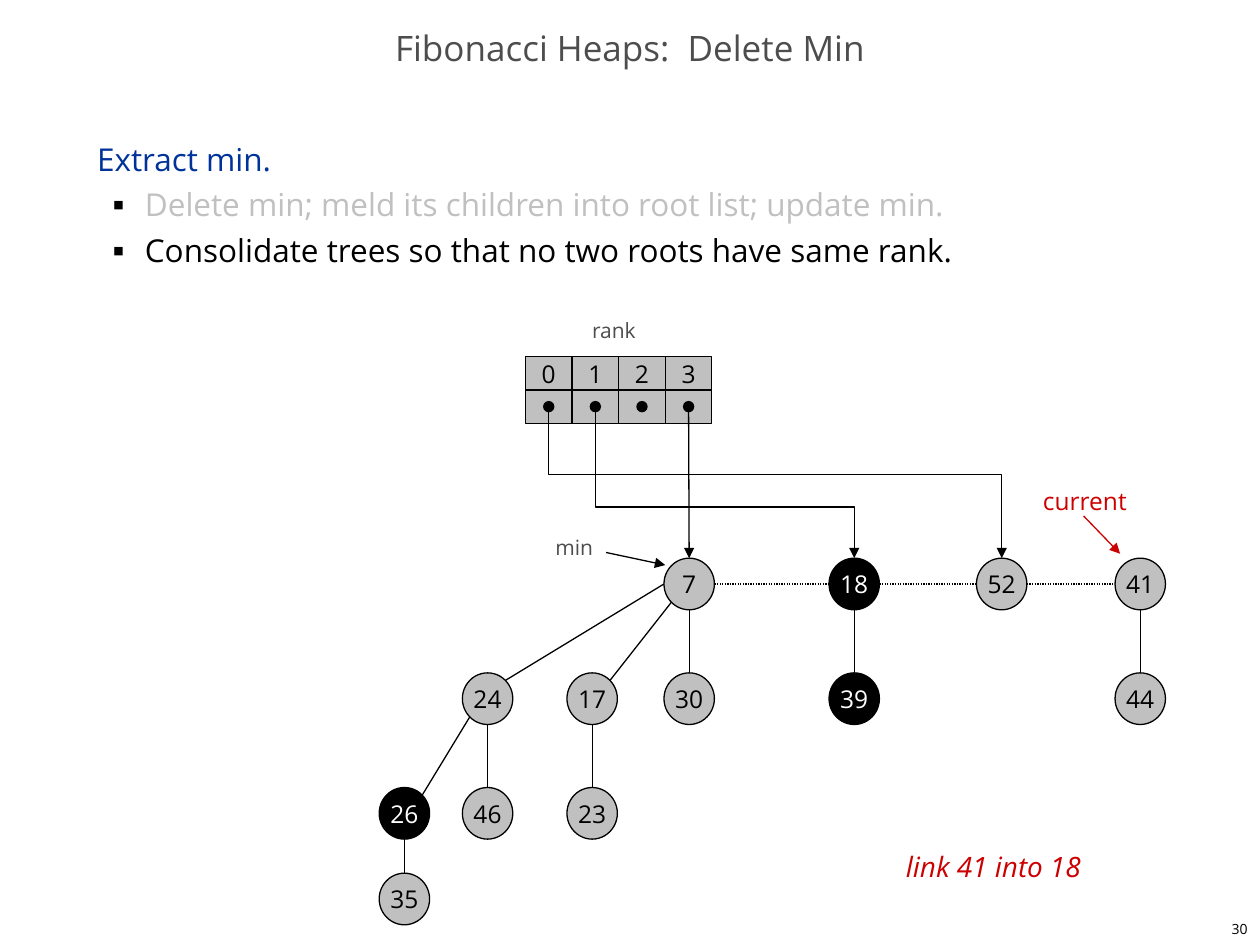
import collections
import math

import lxml.etree
import pptx
import pptx.dml.color
import pptx.enum.dml
import pptx.enum.shapes
import pptx.enum.text
import pptx.oxml
import pptx.oxml.ns
import pptx.util

RGB = pptx.dml.color.RGBColor
BLACK = RGB(0x00, 0x00, 0x00)
WHITE = RGB(0xFF, 0xFF, 0xFF)
SILVER = RGB(0xC0, 0xC0, 0xC0)
GRAY = RGB(0x4D, 0x4D, 0x4D)
BLUE = RGB(0x00, 0x33, 0x99)
RED = RGB(0xCC, 0x00, 0x00)

FONT = "Open Sans"
SHAPE = pptx.enum.shapes.MSO_SHAPE
CONNECTOR = pptx.enum.shapes.MSO_CONNECTOR
ALIGN = pptx.enum.text.PP_ALIGN
ANCHOR = pptx.enum.text.MSO_ANCHOR
Pt = pptx.util.Pt
qn = pptx.oxml.ns.qn

UNIT = pptx.util.Inches(0.1)
Box = collections.namedtuple("Box", "left top width height")
Node = collections.namedtuple("Node", "x y")
NODE_W, NODE_H = 4, 4.1
DOT = 0.8


def emu(*lengths):
    return [pptx.util.Emu(round(length * UNIT)) for length in lengths]


def put_run(paragraph, words, size, color, italic=None):
    run = paragraph.add_run()
    run.text = words
    run.font.name = FONT
    run.font.size = Pt(size)
    run.font.color.rgb = color
    run.font.italic = italic


def put_label(shapes, box, words, size, color, align=ALIGN.LEFT, italic=None):
    frame = shapes.add_textbox(*emu(*box)).text_frame
    frame.word_wrap = False
    frame.vertical_anchor = ANCHOR.MIDDLE
    frame.paragraphs[0].alignment = align
    put_run(frame.paragraphs[0], words, size, color, italic)


def put_shape(shapes, kind, box, fill, words=None, color=BLACK):
    shape = shapes.add_shape(kind, *emu(*box))
    shape.shadow.inherit = False
    shape.fill.solid()
    shape.fill.fore_color.rgb = fill
    shape.line.color.rgb = BLACK
    shape.line.width = Pt(0.75)
    if words is not None:
        frame = shape.text_frame
        frame.word_wrap = False
        frame.vertical_anchor = ANCHOR.MIDDLE
        frame.paragraphs[0].alignment = ALIGN.CENTER
        put_run(frame.paragraphs[0], words, 14, color)


def put_line(shapes, start, end, color=BLACK, arrow=False, dotted=False,
             kind=CONNECTOR.STRAIGHT):
    line = shapes.add_connector(kind, *emu(*start, *end))
    line.line.color.rgb = color
    line.line.width = Pt(0.75)
    if dotted:
        line.line.dash_style = pptx.enum.dml.MSO_LINE.ROUND_DOT
    if arrow:
        outline = line.line._get_or_add_ln()
        lxml.etree.SubElement(outline, qn("a:tailEnd"), type="triangle")
    lxml.etree.SubElement(line._element.spPr, qn("a:effectLst"))
    return line


def put_drop(shapes, start, end, bend):
    run, fall = end[0] - start[0], end[1] - start[1]
    x, y = (start[0] + end[0]) / 2, (start[1] + end[1]) / 2
    line = put_line(shapes, (x + fall / 2, y - run / 2),
                    (x - fall / 2, y + run / 2), arrow=True,
                    kind=CONNECTOR.ELBOW)
    properties = line._element.spPr
    properties.find(qn("a:xfrm")).set("rot", "16200000")
    guides = properties.find(qn("a:prstGeom")).find(qn("a:avLst"))
    lxml.etree.SubElement(guides, qn("a:gd"), name="adj1",
                          fmla=f"val {round(bend * 100000)}")


def rim(node, degrees):
    angle = math.radians(degrees)
    return (node.x + NODE_W / 2 * math.cos(angle),
            node.y - NODE_H / 2 * math.sin(angle))


def place(placeholder, box):
    placeholder.left, placeholder.top, placeholder.width, placeholder.height = emu(*box)
    placeholder.text_frame.auto_size = pptx.enum.text.MSO_AUTO_SIZE.NONE
    return placeholder.text_frame


def build_heading(slide, box):
    frame = place(slide.shapes.title, box)
    frame.vertical_anchor = ANCHOR.MIDDLE
    heading = frame.paragraphs[0]
    heading.alignment = ALIGN.CENTER
    heading.line_spacing = 0.7
    put_run(heading, "Fibonacci Heaps:  Delete Min", 20, GRAY)


def build_steps(slide, box):
    frame = place(slide.placeholders[1], box)
    frame.vertical_anchor = ANCHOR.TOP
    steps = (
        (0, "Extract min.", BLUE),
        (1, "Delete min; meld its children into root list; update min.", SILVER),
        (1, "Consolidate trees so that no two roots have same rank.", BLACK),
    )
    for index, (level, words, color) in enumerate(steps):
        step = frame.add_paragraph() if index else frame.paragraphs[0]
        step.level = level
        step.line_spacing = Pt(26)
        step.space_before = step.space_after = Pt(0)
        properties = step._p.get_or_add_pPr()
        margin, indent = emu(3.8 * level, -2.5 * level)
        properties.set("marL", str(margin))
        properties.set("indent", str(indent))
        if level:
            tint = lxml.etree.SubElement(properties, qn("a:buClr"))
            lxml.etree.SubElement(tint, qn("a:srgbClr"), val=str(BLACK))
            lxml.etree.SubElement(properties, qn("a:buSzPct"), val="35000")
            lxml.etree.SubElement(properties, qn("a:buFont"), typeface=FONT)
            lxml.etree.SubElement(properties, qn("a:buChar"), char="■")
        else:
            lxml.etree.SubElement(properties, qn("a:buNone"))
        put_run(step, words, 18, color)


def build_ranks(shapes, box):
    cell_w, cell_h = box.width / 4, box.height / 2
    put_label(shapes, Box(box.left + 4.3, box.top - 3.6, 5.8, 3), "rank", 12, GRAY)
    ranks, pointers = shapes.add_group_shape().shapes, shapes.add_group_shape().shapes
    tails = []
    for rank in range(4):
        left = box.left + rank * cell_w
        put_shape(ranks, SHAPE.RECTANGLE, Box(left, box.top, cell_w, cell_h), SILVER, str(rank))
        put_shape(pointers, SHAPE.RECTANGLE, Box(left, box.top + cell_h, cell_w, cell_h), SILVER)
        x, y = left + cell_w / 2, box.top + 1.5 * cell_h
        put_shape(shapes, SHAPE.OVAL, Box(x - DOT / 2, y - DOT / 2, DOT, DOT), BLACK)
        tails.append((x, y + DOT / 2))
    return tails


def build_heap(shapes, box):
    columns = [box.left + x for x in (2, 8.6, 16.9, 24.6, 37.7, 49.4, 60.4)]
    rows = [box.top + y for y in (2.05, 11.15, 20.25, 27.05)]
    layout = {"7": (3, 0), "18": (4, 0), "52": (5, 0), "41": (6, 0),
              "24": (1, 1), "17": (2, 1), "30": (3, 1), "39": (4, 1), "44": (6, 1),
              "26": (0, 2), "46": (1, 2), "23": (2, 2), "35": (0, 3)}
    marked = {"18", "39", "26"}
    nodes = {key: Node(columns[column], rows[row])
             for key, (column, row) in layout.items()}

    roots = ["7", "18", "52", "41"]
    for left, right in zip(roots, roots[1:]):
        put_line(shapes, rim(nodes[left], 0), rim(nodes[right], 180), dotted=True)
    straight = (("7", "30"), ("18", "39"), ("41", "44"), ("24", "46"),
                ("17", "23"), ("26", "35"))
    for parent, child in straight:
        put_line(shapes, rim(nodes[parent], 270), rim(nodes[child], 90))
    for parent, child, angle in (("7", "24", 180), ("7", "17", 225), ("24", "26", 225)):
        put_line(shapes, rim(nodes[parent], angle), rim(nodes[child], 45))
    for key, node in nodes.items():
        fill, color = (BLACK, WHITE) if key in marked else (SILVER, BLACK)
        put_shape(shapes, SHAPE.OVAL,
                  Box(node.x - NODE_W / 2, node.y - NODE_H / 2, NODE_W, NODE_H),
                  fill, key, color)

    smallest, current = nodes["7"], nodes["41"]
    put_label(shapes, Box(smallest.x - 11.6, smallest.y - 4.4, 5.1, 3), "min", 12, GRAY)
    put_line(shapes, (smallest.x - 6.6, smallest.y - 2.5),
             (smallest.x - 1.9, smallest.y - 1.5), arrow=True)
    put_label(shapes, Box(current.x - 9.4, current.y - 8.7, 10, 4.1), "current", 14, RED,
              ALIGN.CENTER)
    put_line(shapes, (current.x - 4.5, current.y - 5.4),
             (current.x - 1.6, current.y - 2.4), RED, arrow=True)
    put_label(shapes, Box(box.left + 40.8, box.top + 22.6, 17.8, 3.7),
              "link 41 into 18", 16, RED, italic=True)
    return {key: rim(nodes[key], 90) for key in roots}


def build_pointers(shapes, tails, heads):
    put_drop(shapes, tails[0], heads["52"], 0.43)
    put_drop(shapes, tails[1], heads["18"], 0.65)
    put_line(shapes, tails[3], heads["7"], arrow=True)


def main():
    deck = pptx.Presentation()
    deck.slide_width, deck.slide_height = emu(100, 75)
    slide = deck.slides.add_slide(deck.slide_layouts[1])
    build_heading(slide, Box(0, 1.7, 100, 5))
    build_steps(slide, Box(6.7, 10, 85.8, 59.2))
    tails = build_ranks(slide.shapes, Box(41.7, 28.3, 14.8, 5.3))
    heads = build_heap(slide.shapes, Box(30.1, 44.3, 62.4, 29.1))
    build_pointers(slide.shapes, tails, heads)
    put_label(slide.shapes, Box(79.2, 72.5, 20.8, 2.5), "30", 8, BLACK, ALIGN.RIGHT)
    deck.save("out.pptx")


if __name__ == "__main__":
    main()
